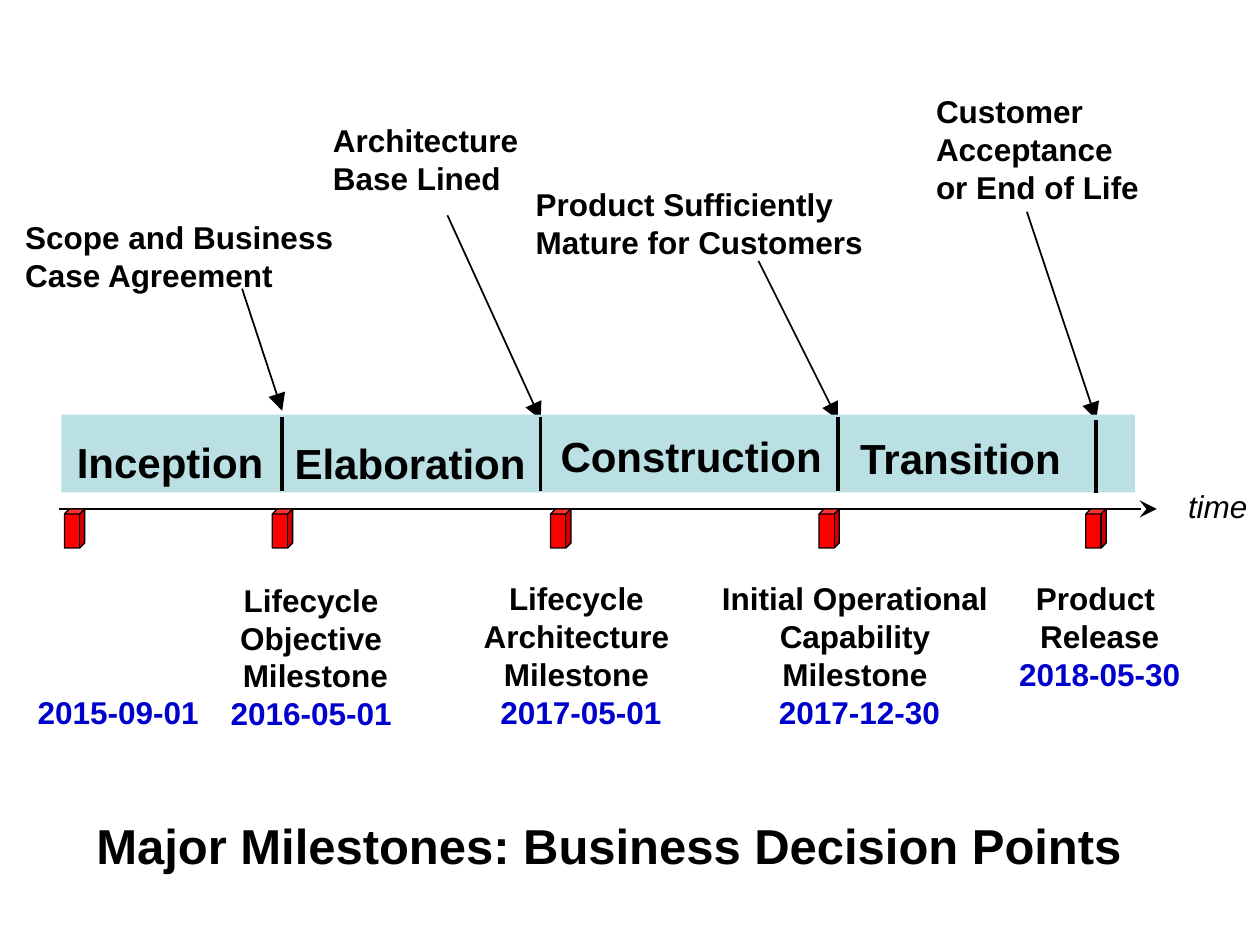
from lxml import etree
from pptx import Presentation
from pptx import util as u
from pptx.dml import color
from pptx.enum import shapes, text
from pptx.oxml import ns

BLACK, BLUE, RED, TEAL = "000000", "0000CC", "FF0000", "BBE0E3"
FLUSH, PADDED, TALL = (0, 0), (0.25, 0.13), (0, 0.13)
LEFT, CENTER = text.PP_ALIGN.LEFT, text.PP_ALIGN.CENTER


def rgb(value):
    """Turn a hex string into a colour."""
    return color.RGBColor.from_string(value)


def add_run(paragraph, words, size, hue=BLACK, bold=True, italic=False):
    """Append one formatted run to a paragraph."""
    run = paragraph.add_run()
    run.text = words
    font = run.font
    font.name, font.size, font.bold, font.italic = "Arial", u.Pt(size), bold, italic
    font.color.rgb = rgb(hue)


def add_label(slide, box, lines, size=18, insets=FLUSH, wrap=True, align=LEFT, **style):
    """Add a text box with one paragraph per line; dates are blue."""
    frame = slide.shapes.add_textbox(*map(u.Cm, box)).text_frame
    frame.word_wrap = wrap
    frame.auto_size = text.MSO_AUTO_SIZE.SHAPE_TO_FIT_TEXT
    frame.margin_left = frame.margin_right = u.Cm(insets[0])
    frame.margin_top = frame.margin_bottom = u.Cm(insets[1])
    for index, line in enumerate(lines):
        paragraph = frame.add_paragraph() if index else frame.paragraphs[0]
        paragraph.alignment = align
        add_run(paragraph, line, size, BLUE if line[0].isdigit() else BLACK, **style)


def add_line(slide, start, end, width=1, head=None):
    """Draw a straight black line, with an arrowhead at its end if named."""
    line = slide.shapes.add_connector(
        shapes.MSO_CONNECTOR.STRAIGHT, *map(u.Cm, (*start, *end)))
    line.line.color.rgb = rgb(BLACK)
    line.line.width = u.Pt(width)
    properties = line.line._get_or_add_ln()
    if head:
        etree.SubElement(properties, ns.qn("a:tailEnd"), type=head, w="lg", len="lg")
    etree.SubElement(properties.getparent(), ns.qn("a:effectLst"))


def add_block(slide, kind, box, fill):
    """Add a filled preset shape without outline or shadow."""
    shape = slide.shapes.add_shape(kind, *map(u.Cm, box))
    shape.shadow.inherit = False
    shape.fill.solid()
    shape.fill.fore_color.rgb = rgb(fill)
    shape.line.fill.background()
    return shape


def place_title(slide, box):
    """Move and format the title placeholder."""
    title = slide.shapes.title
    title.left, title.top, title.width, title.height = map(u.Cm, box)
    frame = title.text_frame
    frame.word_wrap = True
    frame.auto_size = text.MSO_AUTO_SIZE.NONE
    frame.vertical_anchor = text.MSO_ANCHOR.MIDDLE
    frame.paragraphs[0].alignment = CENTER
    add_run(frame.paragraphs[0], "Major Milestones: Business Decision Points", 28)


def place_callout(slide, box, lines, start, end, insets=FLUSH, wrap=True):
    """Place a criterion and the arrow from it, both offset from the box corner."""
    left, top = box[:2]
    add_label(slide, box, lines, insets=insets, wrap=wrap)
    add_line(slide, (left + start[0], top + start[1]),
             (left + end[0], top + end[1]), head="triangle")


def place_phases(slide, box):
    """Place the phase band with its names and dividers."""
    left, top = box[:2]
    add_block(slide, shapes.MSO_SHAPE.RECTANGLE, box, TEAL)
    phases = [("Inception", 0.06, 0.3, 4.27, PADDED),
              ("Elaboration", 4.45, 0.33, 5.18, PADDED),
              ("Construction", 10.06, 0.31, 5.34, FLUSH),
              ("Transition", 15.85, 0.23, 4.6, PADDED)]
    for name, x, y, width, insets in phases:
        add_label(slide, (left + x, top + y, width, 1.02 + 2 * insets[1]),
                  [name], 24, insets, wrap=False)
    for x, y in [(4.45, 0.05), (9.66, 0.05), (15.65, 0.05), (20.86, 0.1)]:
        add_line(slide, (left + x, top + y + 1.48), (left + x, top + y), width=2)


def place_timeline(slide, box):
    """Place the time axis with its label and milestone markers."""
    left, top, width, height = box
    add_line(slide, (left, top), (left + width, top), head="stealth")
    add_label(slide, (left + width + 0.38, top - 0.58, 1.7, 1.02), ["time"],
              insets=PADDED, wrap=False, bold=False, italic=True)
    for x in (0.11, 4.3, 9.91, 15.32, 20.7):
        marker = add_block(slide, shapes.MSO_SHAPE.CUBE,
                           (left + x, top, 0.41, height), RED)
        marker.line.color.rgb = rgb(BLACK)
        marker.line.width = u.Pt(0.75)


def place_milestones(slide, box):
    """Place the milestone names and dates below the axis."""
    left, top = box[:2]
    add_label(slide, (left, top + 2.16, 3.76, 1.02), ["2015-09-01"],
              insets=PADDED, wrap=False)
    milestones = [
        (3.88, -0.1, 3.94, PADDED, ["Lifecycle ", "Objective ", "Milestone", "2016-05-01 "]),
        (9.22, 0, 3.96, FLUSH, ["Lifecycle ", "Architecture ", "Milestone ", "2017-05-01"]),
        (13.79, 0, 6.05, FLUSH,
         ["Initial Operational ", "Capability ", "Milestone ", "2017-12-30"]),
        (19.78, 0, 3.76, FLUSH, ["Product ", "Release", "2018-05-30"])]
    for x, y, width, insets, lines in milestones:
        height = 0.76 * len(lines) + 2 * insets[1]
        add_label(slide, (left + x, top + y, width, height), lines,
                  insets=insets, align=CENTER)


def main():
    """Build the milestone slide and save it."""
    presentation = Presentation()
    presentation.slide_width, presentation.slide_height = u.Cm(25.4), u.Cm(19.05)
    slide = presentation.slides.add_slide(presentation.slide_layouts[5])
    place_title(slide, (0.86, 16.33, 22.83, 1.4))
    place_callout(slide, (6.71, 2.44, 3.99, 1.52), ["Architecture", "Base Lined"],
                  (2.31, 1.9), (4.19, 6.02))
    place_callout(slide, (0.51, 4.27, 6.4, 1.78), ["Scope and Business Case Agreement"],
                  (4.37, 1.55), (5.18, 4.01), TALL)
    place_callout(slide, (10.8, 3.73, 6.71, 1.52),
                  ["Product Sufficiently Mature for Customers"], (4.49, 1.53), (6.09, 4.73))
    place_callout(slide, (18.62, 1.73, 4.6, 2.54),
                  ["Customer", "Acceptance", "or End of Life"],
                  (2.08, 2.54), (3.48, 6.73), PADDED, wrap=False)
    place_phases(slide, (1.24, 8.36, 21.64, 1.57))
    place_timeline(slide, (1.19, 10.26, 22.13, 0.79))
    place_milestones(slide, (0.51, 11.68, 23.54, 3.18))
    presentation.save("out.pptx")


if __name__ == "__main__":
    main()
